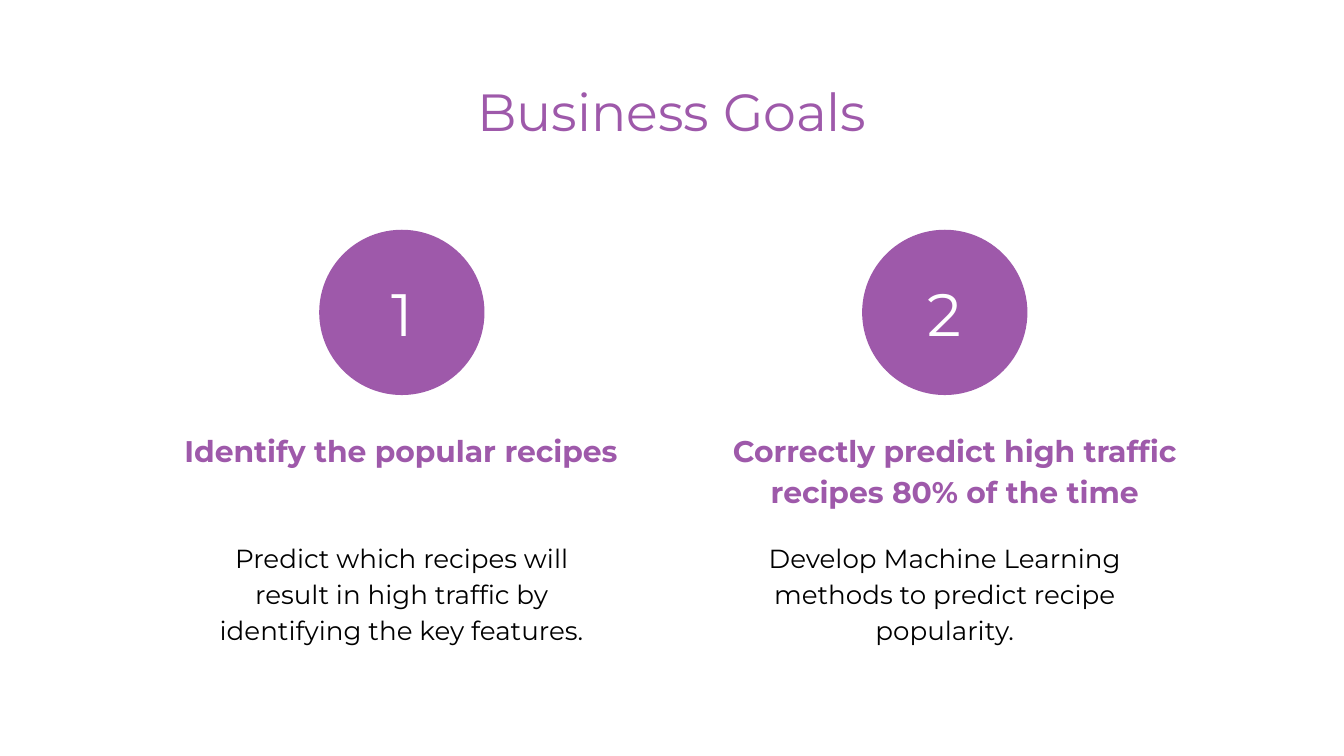
from dataclasses import dataclass

from pptx import Presentation
from pptx.dml.color import RGBColor
from pptx.enum import shapes, text
from pptx.oxml import parse_xml
from pptx.oxml.ns import nsdecls
from pptx.util import Inches, Pt


@dataclass(frozen=True)
class Theme:
    font: str = "Montserrat"
    main: str = "9E59AA"
    ink: str = "000000"
    paper: str = "FFFFFF"
    title: int = 28
    digit: int = 32
    head: int = 16
    body: int = 14


THEME = Theme()


def place(shape, left, top, width, height):
    shape.left, shape.top = Inches(left), Inches(top)
    shape.width, shape.height = Inches(width), Inches(height)


def write(shape, words, size, color, bold=False, line=1, anchor=text.MSO_ANCHOR.TOP):
    frame = shape.text_frame
    frame.text = words
    frame.word_wrap = True
    frame.auto_size = text.MSO_AUTO_SIZE.NONE
    frame.vertical_anchor = anchor
    frame.margin_left = frame.margin_right = Inches(0.1)
    frame.margin_top = frame.margin_bottom = Inches(0.1)
    para = frame.paragraphs[0]
    props = para._p.get_or_add_pPr()
    props.set("marL", "0")
    props.set("indent", "0")
    props.append(parse_xml(f"<a:buNone {nsdecls('a')}/>"))
    para.alignment = text.PP_ALIGN.CENTER
    para.line_spacing = line
    para.space_before = Pt(0)
    font = para.runs[0].font
    font.name, font.size, font.bold = THEME.font, Pt(size), bold
    font.color.rgb = RGBColor.from_string(color)


def add_title(slide, box, words):
    title = slide.shapes.title
    place(title, *box)
    write(title, words, THEME.title, THEME.main)


def add_badge(slide, box, num):
    left, top, size = box
    disc = slide.shapes.add_shape(shapes.MSO_SHAPE.OVAL, 0, 0, 0, 0)
    place(disc, left, top, size, size)
    disc.shadow.inherit = False
    disc.fill.solid()
    disc.fill.fore_color.rgb = RGBColor.from_string(THEME.main)
    disc.line.fill.background()

    side = 0.58
    gap = (size - side) / 2
    digit = slide.shapes.add_textbox(0, 0, 0, 0)
    place(digit, left + gap, top + gap, side, side)
    write(digit, str(num), THEME.digit, THEME.paper, anchor=text.MSO_ANCHOR.MIDDLE)


def add_goal(slide, box, num, head, span, body):
    left, top, width, height = box
    size = 1.23
    add_badge(slide, (left + (width - size) / 2, top, size), num)

    holders = slide.placeholders
    label, note = holders[2 * num - 1], holders[2 * num]
    shift, wide = span
    place(label, left + shift, top + 1.37, wide, 0.63)
    write(label, head, THEME.head, THEME.main, bold=True, line=1.15)
    place(note, left, top + 2.19, width, height - 2.19)
    write(note, body, THEME.body, THEME.ink, line=1.15)


def main():
    deck = Presentation()
    deck.slide_width = Inches(10)
    deck.slide_height = deck.slide_width * 9 // 16
    slide = deck.slides.add_slide(deck.slide_layouts.get_by_name("Comparison"))
    add_title(slide, (0.78, 0.49, 8.44, 0.63), "Business Goals")
    goals = [
        ("Identify the popular recipes", (-0.38, 3.81),
         "Predict which recipes will result in high traffic by identifying the key features."),
        ("Correctly predict high traffic recipes 80% of the time", (-0.18, 3.57),
         "Develop Machine Learning methods to predict recipe popularity."),
    ]
    for num, goal in enumerate(goals, 1):
        box = (1.46 + (num - 1) * 4.04, 1.71, 3.06, 3.79)
        add_goal(slide, box, num, *goal)
    deck.save("out.pptx")


if __name__ == "__main__":
    main()
